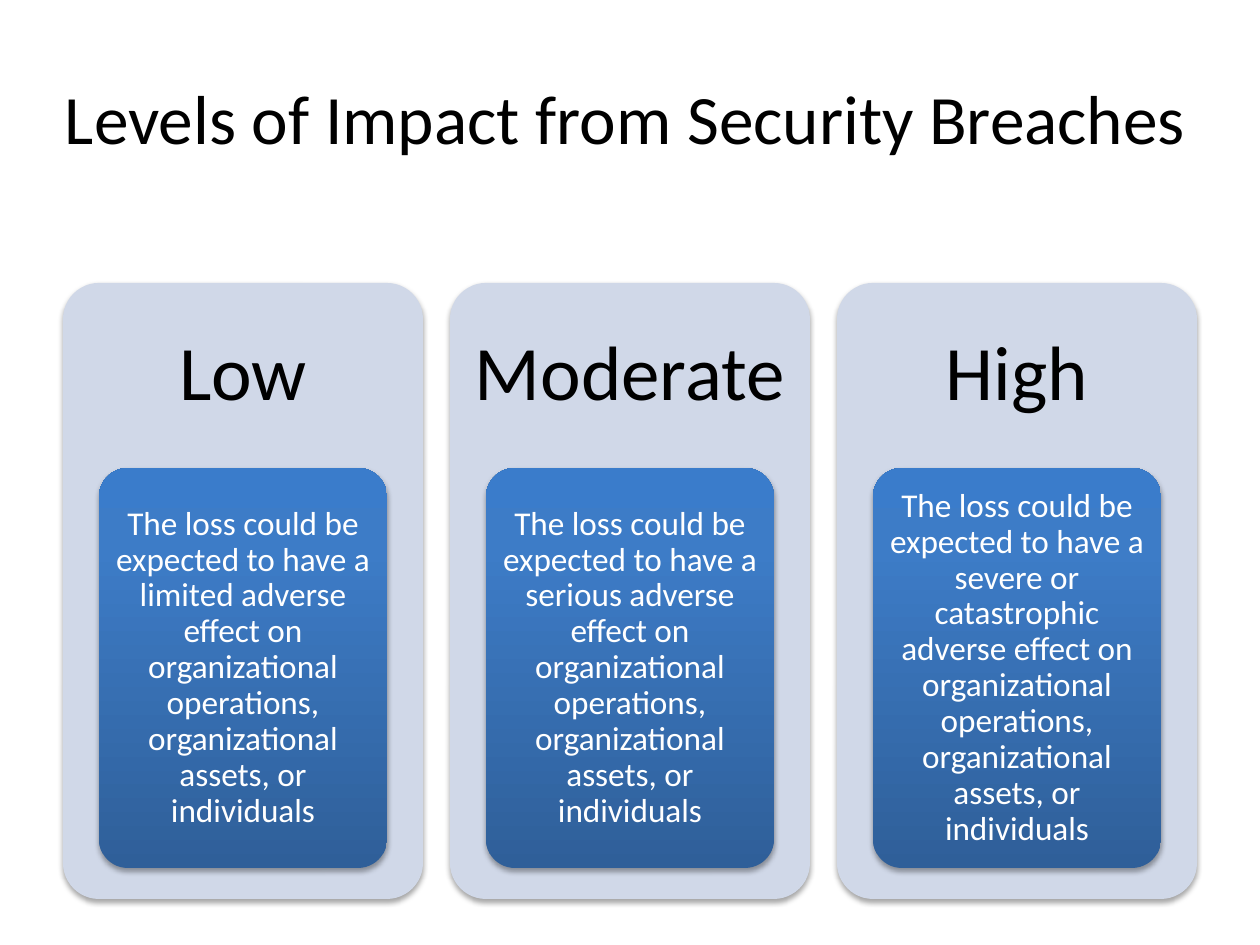
"""Build the slide on levels of impact from security breaches."""
from copy import deepcopy

from lxml import etree
from pptx import Presentation
from pptx import util as u
from pptx.dml.color import RGBColor
from pptx.enum import shapes, text
from pptx.oxml import ns

BLACK = RGBColor(0x00, 0x00, 0x00)
WHITE = RGBColor(0xFF, 0xFF, 0xFF)
CARD_FILL = RGBColor(0xD0, 0xD8, 0xE8)
PANEL_STOPS = [
    (0, RGBColor(0x2F, 0x5F, 0x99)),
    (0.8, RGBColor(0x3D, 0x7C, 0xC7)),
    (1, RGBColor(0x3A, 0x7C, 0xCB)),
]

TITLE = "Levels of Impact from Security Breaches"
LOSS = ("The loss could be expected to have a {} adverse effect on organizational "
        "operations, organizational assets, or individuals")
LEVELS = [
    ("Low", "limited"),
    ("Moderate", "serious"),
    ("High", "severe or catastrophic"),
]

PIXEL = u.Inches(1) / 126
SLIDE_SIZE = (1260, 945)
TITLE_BOX = (25, 37, 1201, 159)
CARD_LEFT, CARD_TOP, CARD_WIDTH, CARD_HEIGHT = 63, 283, 360, 616
CARD_PITCH = 387
HEADING_HEIGHT = 185
PANEL_INDENT, PANEL_HEIGHT = 36, 400
BODY_INSET = 8


def emu(*pixels):
    return [u.Emu(round(value * PIXEL)) for value in pixels]


def add_text(slide, box, content, size, color=BLACK, margins=(12, 6), spacing=1.0):
    frame = slide.shapes.add_textbox(*emu(*box)).text_frame
    frame.word_wrap = True
    frame.vertical_anchor = text.MSO_ANCHOR.MIDDLE
    horizontal, vertical = emu(*margins)
    frame.margin_left = frame.margin_right = horizontal
    frame.margin_top = frame.margin_bottom = vertical
    paragraph = frame.paragraphs[0]
    paragraph.alignment = text.PP_ALIGN.CENTER
    paragraph.line_spacing = spacing
    run = paragraph.add_run()
    run.text = content
    run.font.name = "Calibri"
    run.font.size = u.Pt(size)
    run.font.color.rgb = color


def add_shadow(shape):
    shape.shadow.inherit = False
    effects = shape._element.spPr.find(ns.qn("a:effectLst"))
    shadow = etree.SubElement(
        effects, ns.qn("a:outerShdw"), blurRad=str(u.Pt(3.1)), dist=str(u.Pt(1.8)),
        dir="5400000", rotWithShape="0")
    color = etree.SubElement(shadow, ns.qn("a:srgbClr"), val=str(BLACK))
    etree.SubElement(color, ns.qn("a:alpha"), val="35000")


def add_rounded(slide, box):
    shape = slide.shapes.add_shape(shapes.MSO_SHAPE.ROUNDED_RECTANGLE, *emu(*box))
    shape.adjustments[0] = 0.1
    shape.line.fill.background()
    return shape


def fill_gradient(shape, stops):
    shape.fill.gradient()
    shape.fill.gradient_angle = 90
    stop_list = shape._element.spPr.find(".//" + ns.qn("a:gsLst"))
    stop_list.append(deepcopy(stop_list[-1]))
    for stop, (position, color) in zip(shape.fill.gradient_stops, stops):
        stop.position = position
        stop.color.rgb = color


def add_level(slide, left, heading, severity):
    card = add_rounded(slide, (left, CARD_TOP, CARD_WIDTH, CARD_HEIGHT))
    card.fill.solid()
    card.fill.fore_color.rgb = CARD_FILL
    add_shadow(card)
    add_text(slide, (left, CARD_TOP, CARD_WIDTH, HEADING_HEIGHT), heading, 44,
             margins=(22, 22), spacing=0.9)

    panel_left, panel_top = left + PANEL_INDENT, CARD_TOP + HEADING_HEIGHT
    panel_width = CARD_WIDTH - 2 * PANEL_INDENT
    panel = add_rounded(slide, (panel_left, panel_top, panel_width, PANEL_HEIGHT))
    fill_gradient(panel, PANEL_STOPS)
    add_shadow(panel)
    body_box = (panel_left + BODY_INSET, panel_top + BODY_INSET,
                panel_width - 2 * BODY_INSET, PANEL_HEIGHT - 2 * BODY_INSET)
    add_text(slide, body_box, LOSS.format(severity), 19, color=WHITE,
             margins=(6, 5), spacing=0.9)


presentation = Presentation()
presentation.slide_width, presentation.slide_height = emu(*SLIDE_SIZE)
slide = presentation.slides.add_slide(presentation.slide_layouts[6])
add_text(slide, TITLE_BOX, TITLE, 39.6)
for index, (heading, severity) in enumerate(LEVELS):
    add_level(slide, CARD_LEFT + index * CARD_PITCH, heading, severity)
presentation.save("out.pptx")
